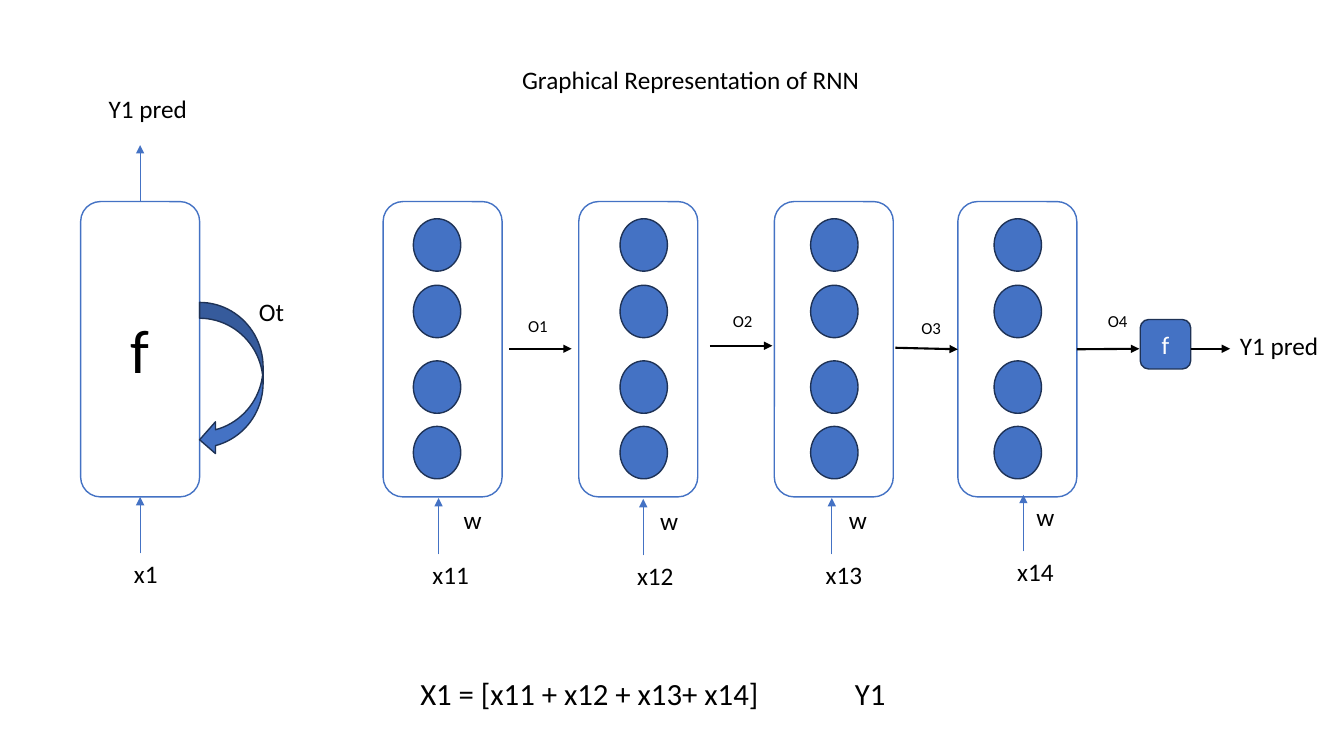
from dataclasses import dataclass

from lxml.etree import SubElement
from pptx import Presentation
from pptx.dml.color import RGBColor
from pptx.enum.shapes import MSO_CONNECTOR, MSO_SHAPE
from pptx.enum.text import MSO_ANCHOR, PP_ALIGN
from pptx.oxml.ns import qn
from pptx.util import Inches, Pt

BLUE, NAVY, BLACK, WHITE = "4472C4", "1E3256", "000000", "FFFFFF"
BLOCK_WIDTH, BLOCK_HEIGHT = 1.18, 2.93
NEURON_TOPS = (0.17, 0.83, 1.58, 2.23)


@dataclass
class Layer:
    left: float
    neuron_left: float
    input_left: float
    input_bottom: float
    weight_left: float
    output_left: float
    output_top: float
    label_left: float
    label_top: float


LAYERS = (
    Layer(3.8, 0.3, 0.55, 3.5, 0.7, 1.25, 1.46, 1.34, 1.08),
    Layer(5.74, 0.41, 0.64, 3.51, 0.71, 1.3, 1.43, 1.43, 1.03),
    Layer(7.68, 0.36, 0.57, 3.5, 0.64, 1.2, 1.45, 1.36, 1.1),
    Layer(9.5, 0.36, 0.65, 3.47, 0.68, 1.18, 1.46, 1.39, 1.03),
)


def color(value):
    return RGBColor.from_string(value)


def write(frame, text, size, value=BLACK):
    frame.text = text
    for span in frame.paragraphs[0].runs:
        span.font.name = "Calibri"
        span.font.size = Pt(size)
        span.font.color.rgb = color(value)


def add_label(page, text, left, top, width, height=0.4, size=18, wrap=True):
    box = page.shapes.add_textbox(Inches(left), Inches(top), Inches(width), Inches(height))
    box.text_frame.word_wrap = wrap
    write(box.text_frame, text, size)
    return box


def add_block(page, kind, left, top, width, height, fill=BLUE, line=NAVY):
    block = page.shapes.add_shape(kind, Inches(left), Inches(top), Inches(width), Inches(height))
    block.shadow.inherit = False
    block.fill.solid()
    block.fill.fore_color.rgb = color(fill)
    block.line.color.rgb = color(line)
    block.line.width = Pt(1)
    return block


def add_unit(page, left, top):
    return add_block(page, MSO_SHAPE.ROUNDED_RECTANGLE, left, top,
                     BLOCK_WIDTH, BLOCK_HEIGHT, WHITE, BLUE)


def write_centered(block, text, size, value):
    frame = block.text_frame
    write(frame, text, size, value)
    frame.vertical_anchor = MSO_ANCHOR.MIDDLE
    frame.paragraphs[0].alignment = PP_ALIGN.CENTER


def add_arrow(page, start, end, value=BLACK, weight=1.5):
    arrow = page.shapes.add_connector(
        MSO_CONNECTOR.STRAIGHT, *(Inches(length) for length in (*start, *end)))
    arrow.line.color.rgb = color(value)
    arrow.line.width = Pt(weight)
    SubElement(arrow.line._get_or_add_ln(), qn("a:tailEnd"), type="triangle")
    SubElement(arrow._element.spPr, qn("a:effectLst"))
    return arrow


def add_up_arrow(page, left, bottom):
    return add_arrow(page, (left, bottom), (left, bottom - 0.56), BLUE, 0.5)


def add_folded_network(page, left, top):
    unit = add_unit(page, left, top)
    write_centered(unit, "f", 44, BLACK)
    center, bottom = left + BLOCK_WIDTH / 2, top + BLOCK_HEIGHT
    add_up_arrow(page, center, bottom + 0.56).end_connect(unit, 2)
    add_up_arrow(page, center, top).begin_connect(unit, 0)
    add_label(page, "x1", left + 0.43, bottom + 0.56, 0.45)
    add_label(page, "Y1 pred", left + 0.18, top - 1.12, 1)
    add_block(page, MSO_SHAPE.CURVED_LEFT_ARROW, left + BLOCK_WIDTH, top + 1, 0.63, 1.52)
    add_label(page, "Ot", left + 1.67, top + 0.89, 0.45)


def add_layer(page, layer, number, top):
    left = layer.left
    unit = add_unit(page, left, top)
    for neuron_top in NEURON_TOPS:
        add_block(page, MSO_SHAPE.OVAL, left + layer.neuron_left, top + neuron_top, 0.47, 0.52)
    input_left, input_bottom = left + layer.input_left, top + layer.input_bottom
    add_up_arrow(page, input_left, input_bottom)
    add_label(page, f"x1{number}", input_left - 0.16, input_bottom, 0.61)
    add_label(page, "w", left + layer.weight_left, input_bottom - 0.55, 0.3)
    add_label(page, f"O{number}", left + layer.label_left, top + layer.label_top,
              0.43, 0.3, 12)
    return unit


def add_output(page, left, top):
    result = add_block(page, MSO_SHAPE.ROUNDED_RECTANGLE, left, top, 0.5, 0.49)
    write_centered(result, "f", 18, WHITE)
    add_arrow(page, (left + 0.5, top + 0.29), (left + 0.89, top + 0.29))
    add_label(page, "Y1 pred", left + 0.89, top + 0.06, 1)


def add_unrolled_network(page, top):
    units = [add_layer(page, layer, number, top) for number, layer in enumerate(LAYERS, 1)]
    arrows = []
    for layer in LAYERS:
        start, height = layer.left + layer.output_left, top + layer.output_top
        arrows.append(add_arrow(page, (start, height), (start + 0.62, height)))
    arrows[2].end_connect(units[3], 1)
    arrows[3].begin_connect(units[3], 3)
    add_output(page, 11.31, top + 1.17)


def add_equation(page, left, top):
    box = add_label(page, "X1 = [x11 + x12 + x13+ x14]\tY1", left, top, 4.97, 0.47, 22)
    para = box.text_frame.paragraphs[0]
    stops = SubElement(para._p.get_or_add_pPr(), qn("a:tabLst"))
    SubElement(stops, qn("a:tab"), pos=str(Inches(4.31)), algn="l")


def main():
    deck = Presentation()
    deck.slide_width, deck.slide_height = Inches(13.33), Inches(7.5)
    page = deck.slides.add_slide(deck.slide_layouts[6])
    add_folded_network(page, 0.8, 2)
    add_unrolled_network(page, 2)
    add_equation(page, 4.07, 6.64)
    add_label(page, "Graphical Representation of RNN", 5.08, 0.59, 3.59, wrap=False)
    deck.save("out.pptx")


if __name__ == "__main__":
    main()
